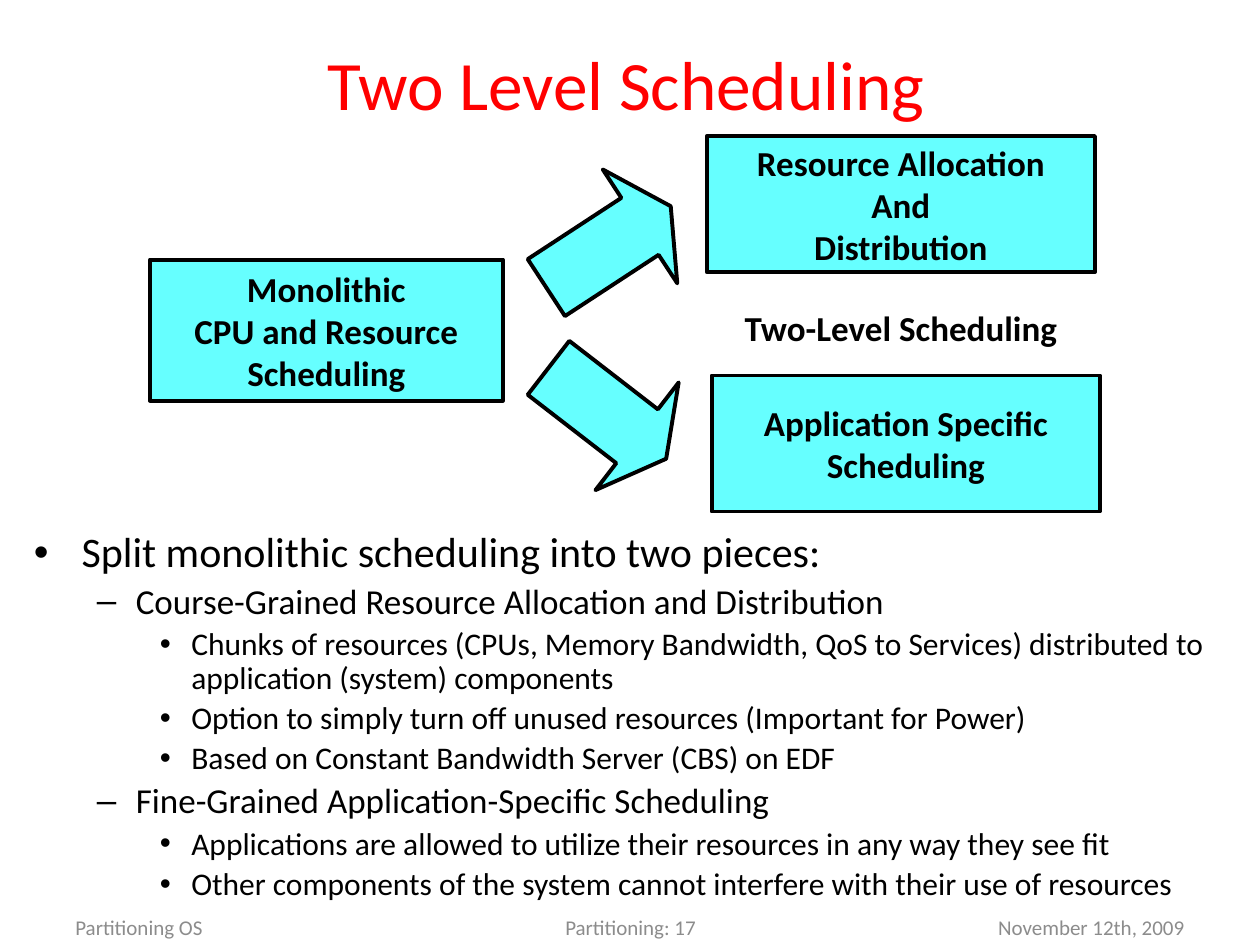
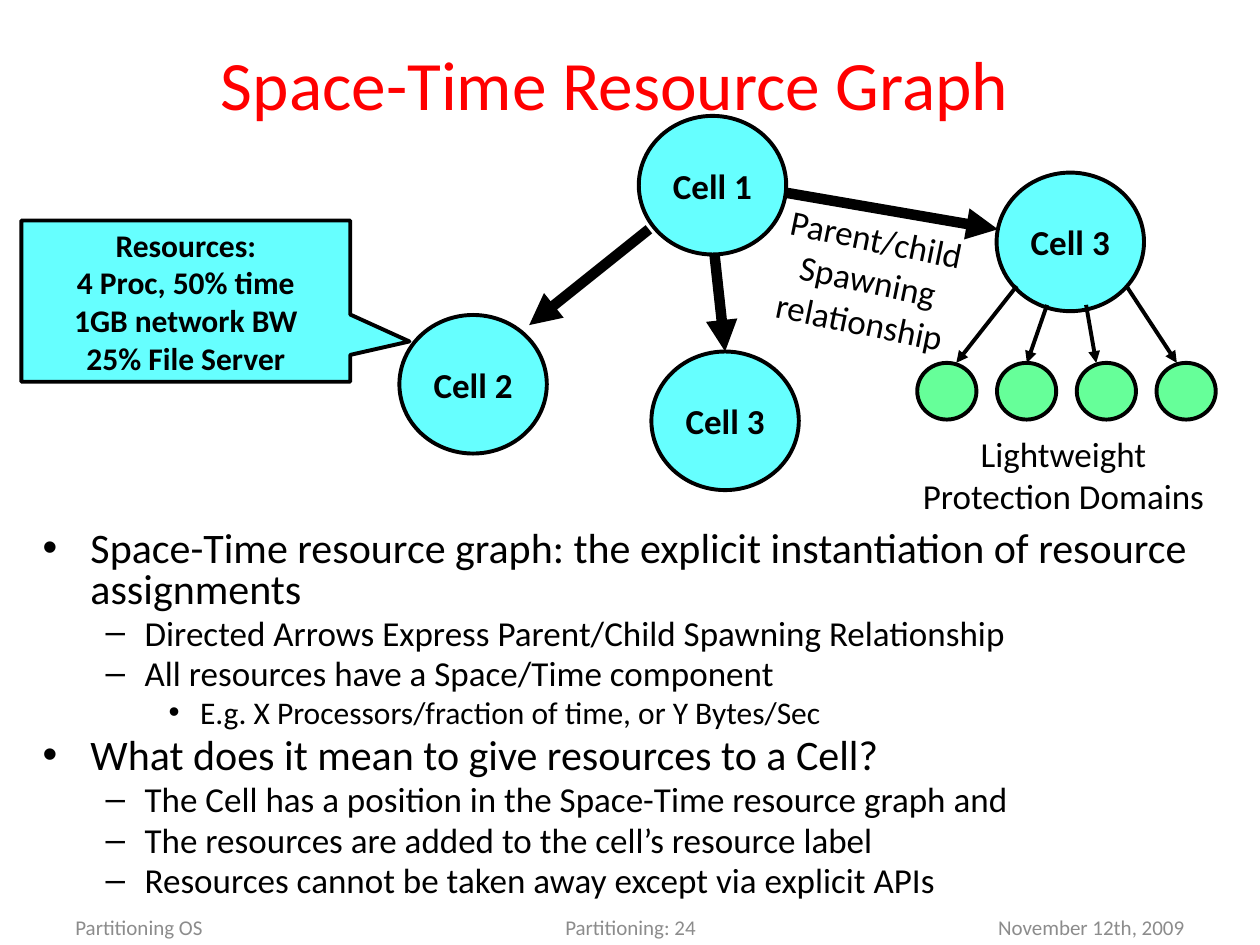
from dataclasses import dataclass

from lxml import etree
from pptx import Presentation, util as u
from pptx.dml.color import RGBColor
from pptx.enum import shapes, text
from pptx.oxml import ns

COLUMNS, ROWS = 100, 75
SLIDE_WIDTH, SLIDE_HEIGHT = u.Inches(10), u.Inches(7.5)
BLANK_LAYOUT = 6
FONT = "Calibri"
RED = RGBColor(0xFF, 0x00, 0x00)
BLACK = RGBColor(0x00, 0x00, 0x00)
GREY = RGBColor(0x8C, 0x8C, 0x8C)
CYAN = RGBColor(0x66, 0xFF, 0xFF)
GREEN = RGBColor(0x66, 0xFF, 0x99)
OUTLINE, HEAVY = 2.25, 6
LEFT, CENTER, RIGHT = text.PP_ALIGN.LEFT, text.PP_ALIGN.CENTER, text.PP_ALIGN.RIGHT
TOP, MIDDLE = text.MSO_ANCHOR.TOP, text.MSO_ANCHOR.MIDDLE
PRESET = shapes.MSO_SHAPE

BULLET_LEVELS = [
    {"mark": "•", "size": 24, "indent": 0.38, "hang": 0.38},
    {"mark": "–", "size": 20, "indent": 0.81, "hang": 0.31},
    {"mark": "•", "size": 18, "indent": 1.25, "hang": 0.25},
]

SCHEDULING_POINTS = [
    (0, "Split monolithic scheduling into two pieces:"),
    (1, "Course-Grained Resource Allocation and Distribution"),
    (2, "Chunks of resources (CPUs, Memory Bandwidth, QoS to Services) "
        "distributed to application (system) components"),
    (2, "Option to simply turn off unused resources (Important for Power)"),
    (2, "Based on Constant Bandwidth Server (CBS) on EDF"),
    (1, "Fine-Grained Application-Specific Scheduling"),
    (2, "Applications are allowed to utilize their resources in any way they see fit"),
    (2, "Other components of the system cannot interfere with their use of resources"),
]

GRAPH_POINTS = [
    (0, "Space-Time resource graph: the explicit instantiation of resource assignments"),
    (1, "Directed Arrows Express Parent/Child Spawning Relationship"),
    (1, "All resources have a Space/Time component"),
    (2, "E.g. X Processors/fraction of time, or Y Bytes/Sec"),
    (0, "What does it mean to give resources to a Cell?"),
    (1, "The Cell has a position in the Space-Time resource graph and"),
    (1, "The resources are added to the cell’s resource label"),
    (1, "Resources cannot be taken away except via explicit APIs"),
]


@dataclass
class Box:
    """A region in grid columns and rows."""
    left: float
    top: float
    width: float
    height: float

    def inner(self, left, top, width, height):
        """Return a box placed relative to this one."""
        return Box(self.left + left, self.top + top, width, height)

    def point(self, column, row):
        """Return the slide position of a point relative to this box."""
        return across(self.left + column), down(self.top + row)

    def lengths(self):
        """Return left, top, width and height in slide units."""
        return (across(self.left), down(self.top),
                across(self.width), down(self.height))


def across(columns):
    """Convert grid columns to slide units."""
    return round(columns * SLIDE_WIDTH / COLUMNS)


def down(rows):
    """Convert grid rows to slide units."""
    return round(rows * SLIDE_HEIGHT / ROWS)


def write(shape, words, size=20, color=BLACK, bold=False, align=CENTER,
          anchor=MIDDLE, wrap=False):
    """Fill a shape with one paragraph per line and return the paragraphs."""
    frame = shape.text_frame
    frame.word_wrap = wrap
    frame.vertical_anchor = anchor
    frame.text = words
    for paragraph in frame.paragraphs:
        paragraph.alignment = align
        for run in paragraph.runs:
            run.font.name = FONT
            run.font.size = u.Pt(size)
            run.font.bold = bold
            run.font.color.rgb = color
    return frame.paragraphs


def label(slide, box, words, rotation=0, **style):
    """Add a text box."""
    caption = slide.shapes.add_textbox(*box.lengths())
    caption.rotation = rotation
    write(caption, words, **style)


def block(slide, preset, box, words="", fill=CYAN, rotation=0, adjust=(), **style):
    """Add an outlined preset shape, with bold text if any is given."""
    figure = slide.shapes.add_shape(preset, *box.lengths())
    figure.shadow.inherit = False
    figure.fill.solid()
    figure.fill.fore_color.rgb = fill
    figure.line.color.rgb = BLACK
    figure.line.width = u.Pt(OUTLINE)
    figure.rotation = rotation
    for index, value in enumerate(adjust):
        figure.adjustments[index] = value
    if words:
        write(figure, words, bold=True, **style)
    return figure


def arrow(slide, box, start, end, weight=OUTLINE, target=None):
    """Draw an arrow between two points, joined to the top of any target."""
    link = slide.shapes.add_connector(
        shapes.MSO_CONNECTOR.STRAIGHT, *box.point(*start), *box.point(*end))
    link.line.color.rgb = BLACK
    link.line.width = u.Pt(weight)
    etree.SubElement(link.line._get_or_add_ln(), ns.qn("a:tailEnd"), type="triangle")
    etree.SubElement(link._element.spPr, ns.qn("a:effectLst"))
    if target is not None:
        link.end_connect(target, 0)


def bullets(slide, box, points, spacing):
    """Write a multilevel bullet list."""
    body = slide.shapes.add_textbox(*box.lengths())
    paragraphs = write(body, "\n".join(words for _, words in points),
                       align=LEFT, anchor=TOP, wrap=True)
    for paragraph, (depth, _) in zip(paragraphs, points):
        level = BULLET_LEVELS[depth]
        paragraph.level = depth
        paragraph.line_spacing = spacing
        paragraph.space_before = u.Pt(level["size"] / 5)
        paragraph.runs[0].font.size = u.Pt(level["size"])
        properties = paragraph._p.get_or_add_pPr()
        properties.set("marL", str(u.Inches(level["indent"])))
        properties.set("indent", str(-u.Inches(level["hang"])))
        etree.SubElement(properties, ns.qn("a:buFont"), typeface="Arial")
        etree.SubElement(properties, ns.qn("a:buChar"), char=level["mark"])


def footer(slide, box, number):
    """Write the system name, page number and date along the bottom."""
    entries = [(0, 23.3, "Partitioning OS", LEFT),
               (29.2, 31.7, f"Partitioning: {number}", CENTER),
               (66.7, 23.3, "November 12th, 2009", RIGHT)]
    for left, width, words, align in entries:
        label(slide, box.inner(left, 0, width, box.height), words,
              size=12, color=GREY, align=align, wrap=True)


def start_slide(deck, title, title_left, number):
    """Add a blank slide with its title and footer."""
    slide = deck.slides.add_slide(deck.slide_layouts[BLANK_LAYOUT])
    footer(slide, Box(5, 71.6, 90, 4), number)
    label(slide, Box(title_left, 2.5, 81, 8.2), title, size=39.6, color=RED, wrap=True)
    return slide


def split_diagram(slide, box):
    """Show one monolithic scheduler split into two levels."""
    block(slide, PRESET.RECTANGLE, box.inner(0, 9.8, 28, 11.2),
          "Monolithic\nCPU and Resource\nScheduling")
    for left, top, rotation in [(30.5, 3.4, -33.2), (30.4, 16.6, 37.7)]:
        block(slide, PRESET.RIGHT_ARROW, box.inner(left, top, 11.8, 10.8),
              rotation=rotation, adjust=(0.5, 0.27))
    levels = [(44.2, 0, "Resource Allocation\nAnd\nDistribution"),
              (44.6, 19, "Application Specific\vScheduling")]
    for left, top, words in levels:
        block(slide, PRESET.RECTANGLE, box.inner(left, top, 30.8, 10.8), words)
    label(slide, box.inner(43.3, 13, 32.6, 4.3), "Two-Level Scheduling",
          bold=True, anchor=TOP)


def protection_domains(slide, box):
    """Draw the row of lightweight domains and the arrows that reach them."""
    starts = [(7.9, 0), (10.3, 1.5), (13.4, 1.5), (16.6, 0)]
    ends = [3.1, 8.7, 14.2, 20.6]
    for index, (start, end) in enumerate(zip(starts, ends)):
        block(slide, PRESET.OVAL, box.inner(6.33 * index, 6.1, 4.7, 4.5), fill=GREEN)
        arrow(slide, box, start, (end, 6.1))
    label(slide, box.inner(-1.3, 11.1, 25.8, 7.6),
          "Lightweight\nProtection Domains", anchor=TOP)


def resource_graph(slide, box):
    """Draw the parent cell, its children and their resources."""
    def cell(left, top, name):
        return block(slide, PRESET.OVAL, box.inner(left, top, 11.7, 11), name)

    cell(30, 15.8, "Cell 2")
    lower_child = cell(50, 18.7, "Cell 3")
    cell(77.4, 4.5, "Cell 3")
    block(slide, PRESET.RECTANGULAR_CALLOUT, box.inner(0, 8.3, 26.1, 12.8),
          "Resources:\n4 Proc, 50% time\n1GB network BW\n25% File Server",
          size=18, wrap=True, adjust=(0.68, 0.25))
    spawns = [((55, 10.9), (55.9, 18.7), lower_child),
              ((49.8, 9), (40.3, 16.6), None),
              ((60.1, 6), (77.5, 9), None)]
    for start, end, target in spawns:
        arrow(slide, box, start, end, HEAVY, target)
    protection_domains(slide, box.inner(71.1, 13.5, 23.7, 18.7))
    label(slide, box.inner(56.8, 7.5, 20.8, 11), "Parent/child\nSpawning\nrelationship",
          rotation=11.6, anchor=TOP, wrap=True)
    cell(49, 0, "Cell 1")


def scheduling_slide(deck):
    """Build the two-level scheduling slide."""
    slide = start_slide(deck, "Two Level Scheduling", 9.2, 17)
    bullets(slide, Box(1.7, 41.7, 95.3, 33.3), SCHEDULING_POINTS, 0.9)
    split_diagram(slide, Box(11.9, 10.8, 75.4, 29.8))


def graph_slide(deck):
    """Build the space-time resource graph slide."""
    slide = start_slide(deck, "Space-Time Resource Graph", 8.3, 24)
    resource_graph(slide, Box(1.7, 9.2, 94.8, 32.2))
    bullets(slide, Box(2.4, 41.7, 94.3, 32.5), GRAPH_POINTS, 0.8)


def main():
    """Build and save the deck."""
    deck = Presentation()
    deck.slide_width, deck.slide_height = SLIDE_WIDTH, SLIDE_HEIGHT
    scheduling_slide(deck)
    graph_slide(deck)
    deck.save("out.pptx")


if __name__ == "__main__":
    main()
